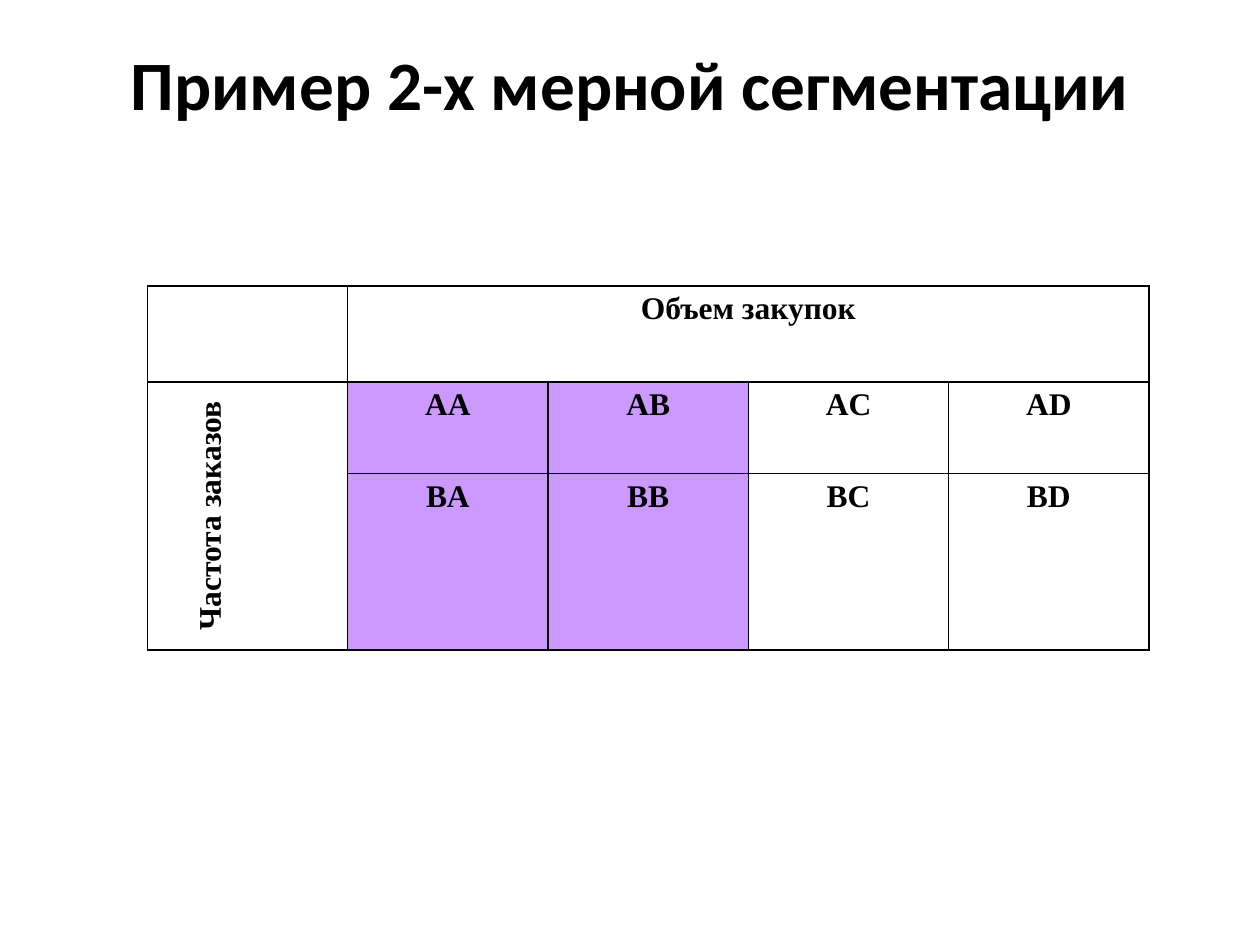
"""Build a slide with a two-dimensional customer segmentation table."""
import dataclasses

import lxml.etree
import pptx
import pptx.dml.color
import pptx.enum.text
import pptx.oxml.ns
import pptx.slide
import pptx.table
import pptx.text.text
import pptx.util

Inches = pptx.util.Inches
COLORS = {"text": "000000", "border": "000000", "segment": "CC99FF"}
TITLE = "Пример 2-х мерной сегментации"
COLUMN_WIDTH = 1.59
ROW_HEIGHTS = (0.76, 0.73, 1.4)


@dataclasses.dataclass(frozen=True)
class CellItem:
    row: int
    column: int
    text: str = ""
    fill: str = ""
    row_span: int = 1
    column_span: int = 1
    vertical: bool = False


SEGMENTS = (("АА", "AB", "AC", "AD"), ("BA", "BB", "BC", "BD"))
ITEMS = [
    CellItem(0, 0),
    CellItem(0, 1, "Объем закупок", column_span=4),
    CellItem(1, 0, "Частота заказов", row_span=2, vertical=True),
] + [
    CellItem(row, column, text, fill="segment" if column <= 2 else "")
    for row, names in enumerate(SEGMENTS, start=1)
    for column, text in enumerate(names, start=1)
]


def write_text(frame: pptx.text.text.TextFrame, text: str, *, font: str,
               size: float, spacing: float = 1.0) -> None:
    frame.word_wrap = True
    para = frame.paragraphs[0]
    para.alignment = pptx.enum.text.PP_ALIGN.CENTER
    para.line_spacing = spacing
    span = para.add_run()
    span.text = text
    span.font.name = font
    span.font.size = pptx.util.Pt(size)
    span.font.bold = True
    span.font.color.rgb = pptx.dml.color.RGBColor.from_string(COLORS["text"])


def add_borders(cell: pptx.table._Cell) -> None:
    properties = cell._tc.get_or_add_tcPr()
    qn = pptx.oxml.ns.qn
    for side in ("lnL", "lnR", "lnT", "lnB"):
        line = lxml.etree.SubElement(properties, qn(f"a:{side}"), w=str(pptx.util.Pt(1)))
        fill = lxml.etree.SubElement(line, qn("a:solidFill"))
        lxml.etree.SubElement(fill, qn("a:srgbClr"), val=COLORS["border"])


def fill_cell(table: pptx.table.Table, item: CellItem) -> None:
    cell = table.cell(item.row, item.column)
    if item.row_span > 1 or item.column_span > 1:
        cell.merge(table.cell(item.row + item.row_span - 1,
                              item.column + item.column_span - 1))
    if item.fill:
        cell.fill.solid()
        cell.fill.fore_color.rgb = pptx.dml.color.RGBColor.from_string(COLORS[item.fill])
    if item.text:
        write_text(cell.text_frame, item.text, font="Times New Roman", size=18,
                   spacing=2.3 if item.vertical else 1.15)
    if item.vertical:
        cell._tc.get_or_add_tcPr().set("vert", "vert270")


def add_segment_table(page: pptx.slide.Slide) -> None:
    columns = len(SEGMENTS[0]) + 1
    frame = page.shapes.add_table(
        len(ROW_HEIGHTS), columns, Inches(1.17), Inches(2.27),
        Inches(COLUMN_WIDTH * columns), Inches(sum(ROW_HEIGHTS)))
    table = frame.table
    table.first_row = False
    table.horz_banding = False
    for column in table.columns:
        column.width = Inches(COLUMN_WIDTH)
    for row, height in zip(table.rows, ROW_HEIGHTS):
        row.height = Inches(height)
    for cell in table.iter_cells():
        cell.margin_left = cell.margin_right = Inches(0.07)
        cell.margin_top = cell.margin_bottom = 0
        add_borders(cell)
        cell.fill.background()
    for item in ITEMS:
        fill_cell(table, item)


def add_title(page: pptx.slide.Slide) -> None:
    box = page.shapes.title
    box.left, box.top = Inches(0.5), Inches(0.3)
    box.width, box.height = Inches(9), Inches(0.72)
    box.text_frame.vertical_anchor = pptx.enum.text.MSO_ANCHOR.MIDDLE
    box.text_frame.auto_size = pptx.enum.text.MSO_AUTO_SIZE.NONE
    write_text(box.text_frame, TITLE, font="Calibri", size=39.6)


def main() -> None:
    deck = pptx.Presentation()
    deck.slide_width, deck.slide_height = Inches(10), Inches(7.5)
    page = deck.slides.add_slide(deck.slide_layouts.get_by_name("Title Only"))
    add_title(page)
    add_segment_table(page)
    deck.save("out.pptx")


if __name__ == "__main__":
    main()
